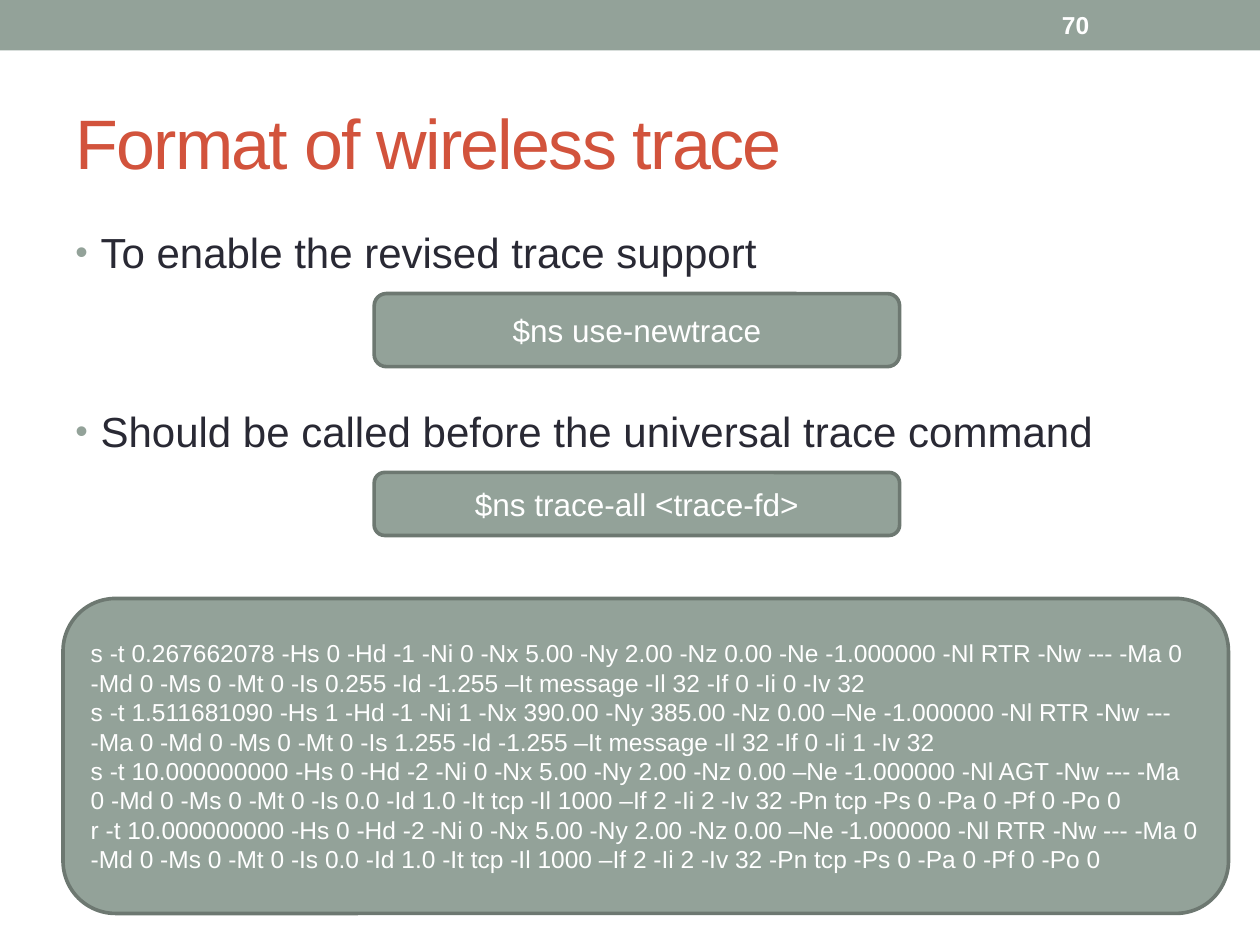
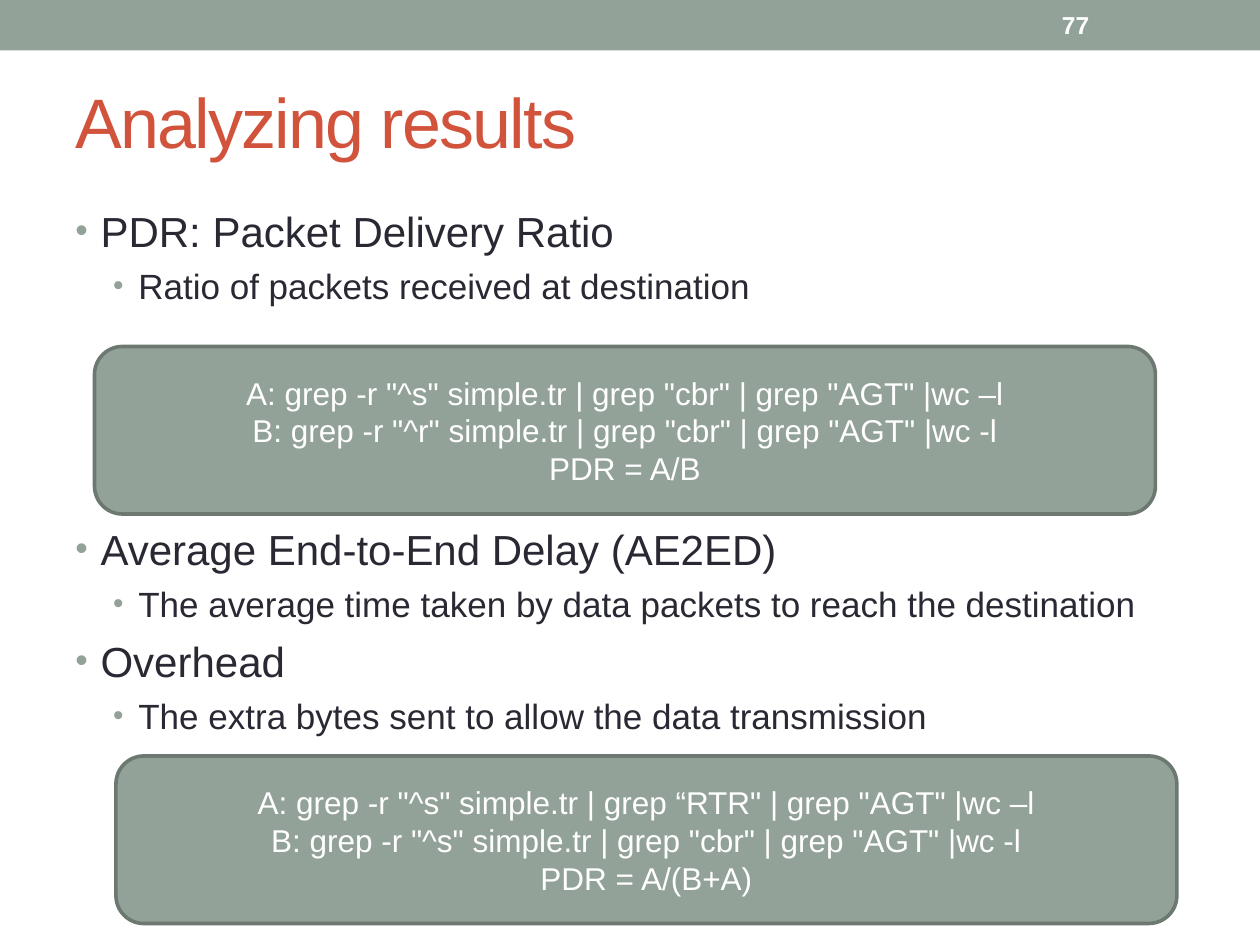
from dataclasses import dataclass

from lxml import etree
from pptx import Presentation
from pptx import util as u
from pptx.dml.color import RGBColor
from pptx.enum import shapes, text
from pptx.oxml.ns import qn


@dataclass(frozen=True)
class Theme:
    font: str = "Arial"
    sage: str = "93A299"
    edge: str = "6D7871"
    rust: str = "D2533C"
    ink: str = "292934"
    white: str = "FFFFFF"
    title_size: int = 40
    body_sizes: tuple = (24, 20)
    body_indents: tuple = (14.4, 36)
    body_gaps: tuple = (6, 5)
    hanging: float = 14.4
    code_size: int = 18
    small_size: int = 14
    edge_width: float = 2.08


class Slides:
    """Holds the deck, its style and the current page."""

    def __init__(self, theme):
        self.theme = theme
        self.deck = Presentation()
        self.deck.slide_width, self.deck.slide_height = u.Pt(720), u.Pt(540)
        self.page = None

    def new_page(self, number, title, title_top):
        self.page = self.deck.slides.add_slide(self.deck.slide_layouts[6])
        theme = self.theme
        self.block(shapes.MSO_SHAPE.RECTANGLE, (0, 0, 720, 28.8))
        frame = self.text_frame((36, title_top, 648, 77.76), text.MSO_ANCHOR.MIDDLE)
        span = self.add_span(frame.paragraphs[0], title, theme.title_size, theme.rust)
        span.font._element.set("spc", "-100")
        frame = self.text_frame((599.76, 1.44, 84.24, 25.92), text.MSO_ANCHOR.MIDDLE)
        span = self.add_span(frame.paragraphs[0], str(number), theme.small_size, theme.white)
        span.font.bold = True

    def block(self, kind, place):
        box = self.page.shapes.add_shape(kind, *map(u.Pt, place))
        box.shadow.inherit = False
        box.fill.solid()
        box.fill.fore_color.rgb = RGBColor.from_string(self.theme.sage)
        box.line.fill.background()
        return box

    def text_frame(self, place, anchor=text.MSO_ANCHOR.TOP):
        frame = self.page.shapes.add_textbox(*map(u.Pt, place)).text_frame
        frame.word_wrap = True
        frame.vertical_anchor = anchor
        return frame

    def add_span(self, para, words, size, color):
        span = para.add_run()
        span.text = words
        span.font.name = self.theme.font
        span.font.size = u.Pt(size)
        span.font.color.rgb = RGBColor.from_string(color)
        return span

    def paragraphs(self, frame, count):
        return [frame.paragraphs[0]] + [frame.add_paragraph() for _ in range(count - 1)]

    def bullets(self, top, items):
        """Each item is (level, words) or (level, words, space before)."""
        theme = self.theme
        frame = self.text_frame((36, top, 648, 383.76))
        for para, (level, words, *gap) in zip(self.paragraphs(frame, len(items)), items):
            para.level = level
            para.space_before = u.Pt(gap[0] if gap else theme.body_gaps[level])
            self.add_span(para, words, theme.body_sizes[level], theme.ink)
            self.add_bullet(para, theme.body_indents[level])

    def add_bullet(self, para, indent):
        props = para._p.get_or_add_pPr()
        props.set("marL", str(u.Pt(indent)))
        props.set("indent", str(-u.Pt(self.theme.hanging)))
        color = etree.SubElement(props, qn("a:buClr"))
        etree.SubElement(color, qn("a:srgbClr"), val=self.theme.sage)
        etree.SubElement(props, qn("a:buSzPct"), val="85000")
        etree.SubElement(props, qn("a:buFont"), typeface=self.theme.font)
        etree.SubElement(props, qn("a:buChar"), char="•")

    def code(self, place, lines, size=None, align=text.PP_ALIGN.CENTER):
        theme = self.theme
        box = self.block(shapes.MSO_SHAPE.ROUNDED_RECTANGLE, place)
        box.line.color.rgb = RGBColor.from_string(theme.edge)
        box.line.width = u.Pt(theme.edge_width)
        frame = box.text_frame
        frame.word_wrap = True
        frame.vertical_anchor = text.MSO_ANCHOR.MIDDLE
        for para, line in zip(self.paragraphs(frame, len(lines)), lines):
            para.alignment = align
            self.add_span(para, line, size or theme.code_size, theme.white)


def wireless_trace(slides):
    slides.new_page(70, "Format of wireless trace", 41.76)
    slides.bullets(126, [
        (0, "To enable the revised trace support", 2),
        (0, "Should be called before the universal trace command", 73.5),
    ])

    # Commands
    slides.code((213.84, 167.76, 300.24, 41.76), ["$ns use-newtrace"])
    slides.code((213.84, 270, 300.24, 36), ["$ns trace-all <trace-fd>"])

    # Sample trace
    tcp_tail = ("-Ma 0 -Md 0 -Ms 0 -Mt 0 -Is 0.0 -Id 1.0 -It tcp -Il 1000 –If 2 "
                "-Ii 2 -Iv 32 -Pn tcp -Ps 0 -Pa 0 -Pf 0 -Po 0")
    tcp_head = ("-t 10.000000000 -Hs 0 -Hd -2 -Ni 0 -Nx 5.00 -Ny 2.00 -Nz 0.00 "
                "–Ne -1.000000 -Nl")
    trace = [
        "s -t 0.267662078 -Hs 0 -Hd -1 -Ni 0 -Nx 5.00 -Ny 2.00 -Nz 0.00 "
        "-Ne -1.000000 -Nl RTR -Nw --- -Ma 0 -Md 0 -Ms 0 -Mt 0 -Is 0.255 "
        "-Id -1.255 –It message -Il 32 -If 0 -Ii 0 -Iv 32",
        "s -t 1.511681090 -Hs 1 -Hd -1 -Ni 1 -Nx 390.00 -Ny 385.00 -Nz 0.00 "
        "–Ne -1.000000 -Nl RTR -Nw --- -Ma 0 -Md 0 -Ms 0 -Mt 0 -Is 1.255 "
        "-Id -1.255 –It message -Il 32 -If 0 -Ii 1 -Iv 32",
        f"s {tcp_head} AGT -Nw --- {tcp_tail}",
        f"r {tcp_head} RTR -Nw --- {tcp_tail}",
    ]
    slides.code((36, 342, 666, 180), trace, slides.theme.small_size, text.PP_ALIGN.LEFT)


def analyzing_results(slides):
    slides.new_page(77, "Analyzing results", 30.24)
    slides.bullets(113.76, [
        (0, "PDR: Packet Delivery Ratio", 2),
        (1, "Ratio of packets received at destination"),
        (0, "Average End-to-End Delay (AE2ED)", 124),
        (1, "The average time taken by data packets to reach the destination"),
        (0, "Overhead"),
        (1, "The extra bytes sent to allow the data transmission"),
    ])

    # Delivery ratio and overhead commands
    slides.code((54, 198, 606.24, 95.76), [
        'A: grep -r "^s" simple.tr | grep "cbr" | grep "AGT" |wc –l',
        'B: grep -r "^r" simple.tr | grep "cbr" | grep "AGT" |wc -l',
        "PDR = A/B",
    ])
    slides.code((66.24, 432, 606.24, 95.76), [
        'A: grep -r "^s" simple.tr | grep “RTR" | grep "AGT" |wc –l',
        'B: grep -r "^s" simple.tr | grep "cbr" | grep "AGT" |wc -l',
        "PDR = A/(B+A)",
    ])


def main():
    slides = Slides(Theme())
    wireless_trace(slides)
    analyzing_results(slides)
    slides.deck.save("out.pptx")


if __name__ == "__main__":
    main()
